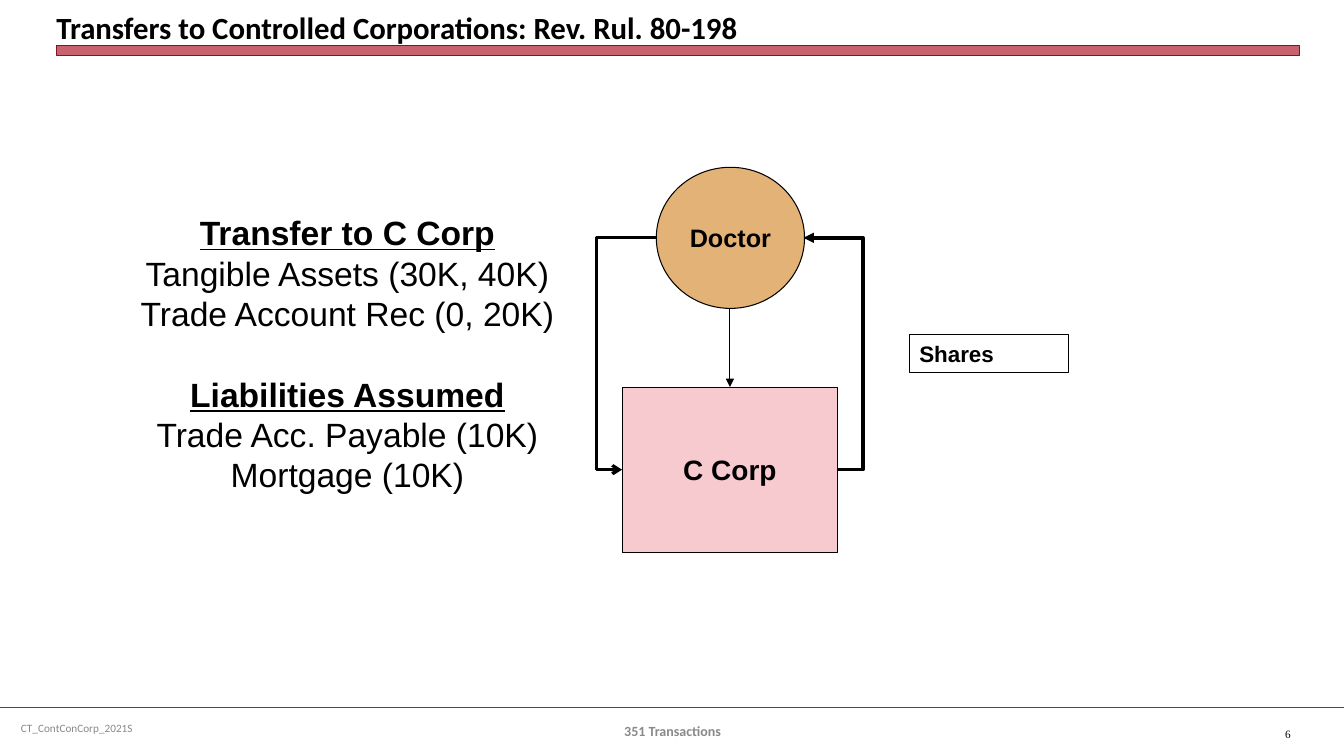
from dataclasses import dataclass

import pptx
import pptx.dml.color
import pptx.enum.dml
import pptx.enum.shapes
import pptx.enum.text
import pptx.oxml
import pptx.oxml.ns
import pptx.util

Inches = pptx.util.Inches
Pt = pptx.util.Pt
Align = pptx.enum.text.PP_ALIGN
Anchor = pptx.enum.text.MSO_ANCHOR
Form = pptx.enum.shapes.MSO_SHAPE
Link = pptx.enum.shapes.MSO_CONNECTOR


@dataclass(frozen=True)
class Theme:
    black: str = "000000"
    gray: str = "898989"
    red: str = "B01C2E"
    edge: str = "821522"
    tan: str = "E3B276"
    pink: str = "F7CAD0"
    sans: str = "Arial"
    head: str = "Calibri"
    serif: str = "Times New Roman"
    title: float = 22
    body: float = 24
    person: float = 18
    corp: float = 20
    label: float = 16
    mid: float = 10
    small: float = 8


THEME = Theme()


@dataclass(frozen=True)
class Box:
    left: float
    top: float
    width: float
    height: float


@dataclass(frozen=True)
class Style:
    size: float
    font: str = THEME.sans
    color: str = THEME.black
    bold: bool = False
    under: bool = False
    align: Align = Align.LEFT


@dataclass(frozen=True)
class Label:
    text: str
    box: Box
    style: Style
    anchor: Anchor = Anchor.MIDDLE
    inset: bool = True


@dataclass(frozen=True)
class Node:
    form: Form
    box: Box
    text: str = ""
    style: Style = Style(THEME.label)
    fill: str = ""
    line: str = THEME.black
    weight: float = 0.75
    alpha: int = 100
    wrap: bool = False


@dataclass(frozen=True)
class Wire:
    start: tuple[float, float]
    end: tuple[float, float]
    weight: float
    color: str = THEME.black
    head: str = ""
    bend: float | None = None  # x of the upright run


def rgb(color: str) -> pptx.dml.color.RGBColor:
    return pptx.dml.color.RGBColor.from_string(color)


def edges(box: Box) -> list[int]:
    return [Inches(n) for n in (box.left, box.top, box.width, box.height)]


def element(tag: str, attrs: str = ""):
    names = pptx.oxml.ns.nsdecls("a")
    return pptx.oxml.parse_xml(f"<a:{tag} {names} {attrs}/>")


def format_line(line, style: Style) -> None:
    line.alignment = style.align
    for run in line.runs:
        font = run.font
        font.name = style.font
        font.size = Pt(style.size)
        font.bold = style.bold
        font.underline = style.under
        font.color.rgb = rgb(style.color)


def add_label(slide, label: Label) -> None:
    frame = slide.shapes.add_textbox(*edges(label.box)).text_frame
    frame.word_wrap = True
    frame.vertical_anchor = label.anchor
    if not label.inset:
        frame.margin_left = frame.margin_right = 0
        frame.margin_top = frame.margin_bottom = 0
    frame.text = label.text
    format_line(frame.paragraphs[0], label.style)


def add_node(slide, node: Node) -> None:
    shape = slide.shapes.add_shape(node.form, *edges(node.box))
    shape.shadow.inherit = False
    if node.fill:
        shape.fill.solid()
        shape.fill.fore_color.rgb = rgb(node.fill)
    else:
        shape.fill.background()
    if node.alpha < 100:
        tint = shape.fill._xPr.find(".//" + pptx.oxml.ns.qn("a:srgbClr"))
        tint.append(element("alpha", f'val="{node.alpha * 1000}"'))
    shape.line.color.rgb = rgb(node.line)
    shape.line.width = Pt(node.weight)
    if node.text:
        frame = shape.text_frame
        frame.word_wrap = node.wrap
        frame.vertical_anchor = Anchor.MIDDLE
        frame.text = node.text
        format_line(frame.paragraphs[0], node.style)


def add_wire(slide, wire: Wire) -> None:
    kind = Link.STRAIGHT if wire.bend is None else Link.ELBOW
    ends = [Inches(n) for n in (*wire.start, *wire.end)]
    link = slide.shapes.add_connector(kind, *ends)
    link.line.color.rgb = rgb(wire.color)
    link.line.width = Pt(wire.weight)
    props = link._element.spPr
    props.append(element("effectLst"))
    if wire.head:
        link.line._get_or_add_ln().append(element("tailEnd", f'type="{wire.head}"'))
    if wire.bend is not None:
        ratio = (wire.bend - wire.start[0]) / (wire.end[0] - wire.start[0])
        guides = props.find(".//" + pptx.oxml.ns.qn("a:avLst"))
        guides.append(element("gd", f'name="adj1" fmla="val {round(ratio * 100000)}"'))


def add_lists(slide, box: Box, groups: dict[str, list[str]]) -> None:
    """Stack the groups in one box, each under an underlined heading."""
    frame = slide.shapes.add_textbox(*edges(box)).text_frame
    frame.word_wrap = True
    frame.vertical_anchor = Anchor.MIDDLE
    head = Style(THEME.body, bold=True, under=True, align=Align.CENTER)
    item = Style(THEME.body, align=Align.CENTER)
    rows = [(text, style) for name, items in groups.items()
            for text, style in [(name, head), *((entry, item) for entry in items)]]
    frame.text = "\n".join(text for text, _ in rows)
    for count, (line, (_, style)) in enumerate(zip(frame.paragraphs, rows)):
        format_line(line, style)
        if count and style is head:
            line.space_before = Pt(1.2 * THEME.body)


LABELS = [
    Label("CT_ContConCorp_2021S", Box(0.11, 7.02, 3.44, 0.4),
          Style(THEME.small, THEME.head, THEME.gray)),
    Label("Transfers to Controlled Corporations: Rev. Rul. 80-198",
          Box(0.56, 0.05, 12.33, 0.4), Style(THEME.title, THEME.head, bold=True),
          Anchor.BOTTOM, inset=False),
    Label("6", Box(12.23, 7.08, 0.67, 0.4),
          Style(THEME.small, THEME.serif, align=Align.RIGHT)),
    Label("351 Transactions", Box(4.56, 7.05, 4.22, 0.4),
          Style(THEME.mid, THEME.head, THEME.gray, bold=True, align=Align.CENTER)),
]
NODES = [
    Node(Form.RECTANGLE, Box(0.56, 0.45, 12.33, 0.1), fill=THEME.red,
         line=THEME.edge, weight=0, alpha=69),
    Node(Form.OVAL, Box(6.51, 1.66, 1.47, 1.4), "Doctor",
         Style(THEME.person, bold=True, align=Align.CENTER), THEME.tan),
    Node(Form.RECTANGLE, Box(6.17, 3.84, 2.14, 1.64), "C Corp",
         Style(THEME.corp, bold=True, align=Align.CENTER), THEME.pink),
    Node(Form.RECTANGLE, Box(9.02, 3.32, 1.58, 0.37), "Shares",
         Style(THEME.label, bold=True), weight=0.5, wrap=True),
]
WIRES = [
    Wire((0, 7.02), (13.33, 7.02), 1.25, THEME.red),
    Wire((7.24, 3.06), (7.24, 3.84), 0.75, head="triangle"),
    Wire((6.51, 2.36), (6.17, 4.66), 2.25, head="arrow", bend=5.92),
    Wire((8.31, 4.66), (7.97, 2.36), 2.5, head="triangle", bend=8.56),
]
GROUPS = {
    "Transfer to C Corp": ["Tangible Assets (30K, 40K)", "Trade Account Rec (0, 20K)"],
    "Liabilities Assumed": ["Trade Acc. Payable (10K)", "Mortgage (10K)"],
}


def main() -> None:
    deck = pptx.Presentation()
    deck.slide_width, deck.slide_height = Inches(13.33), Inches(7.5)
    slide = deck.slides.add_slide(deck.slide_layouts[6])
    for node in NODES:
        add_node(slide, node)
    for wire in WIRES:
        add_wire(slide, wire)
    for label in LABELS:
        add_label(slide, label)
    add_lists(slide, Box(1.15, 2.04, 4.59, 2.93), GROUPS)
    deck.save("out.pptx")


if __name__ == "__main__":
    main()
